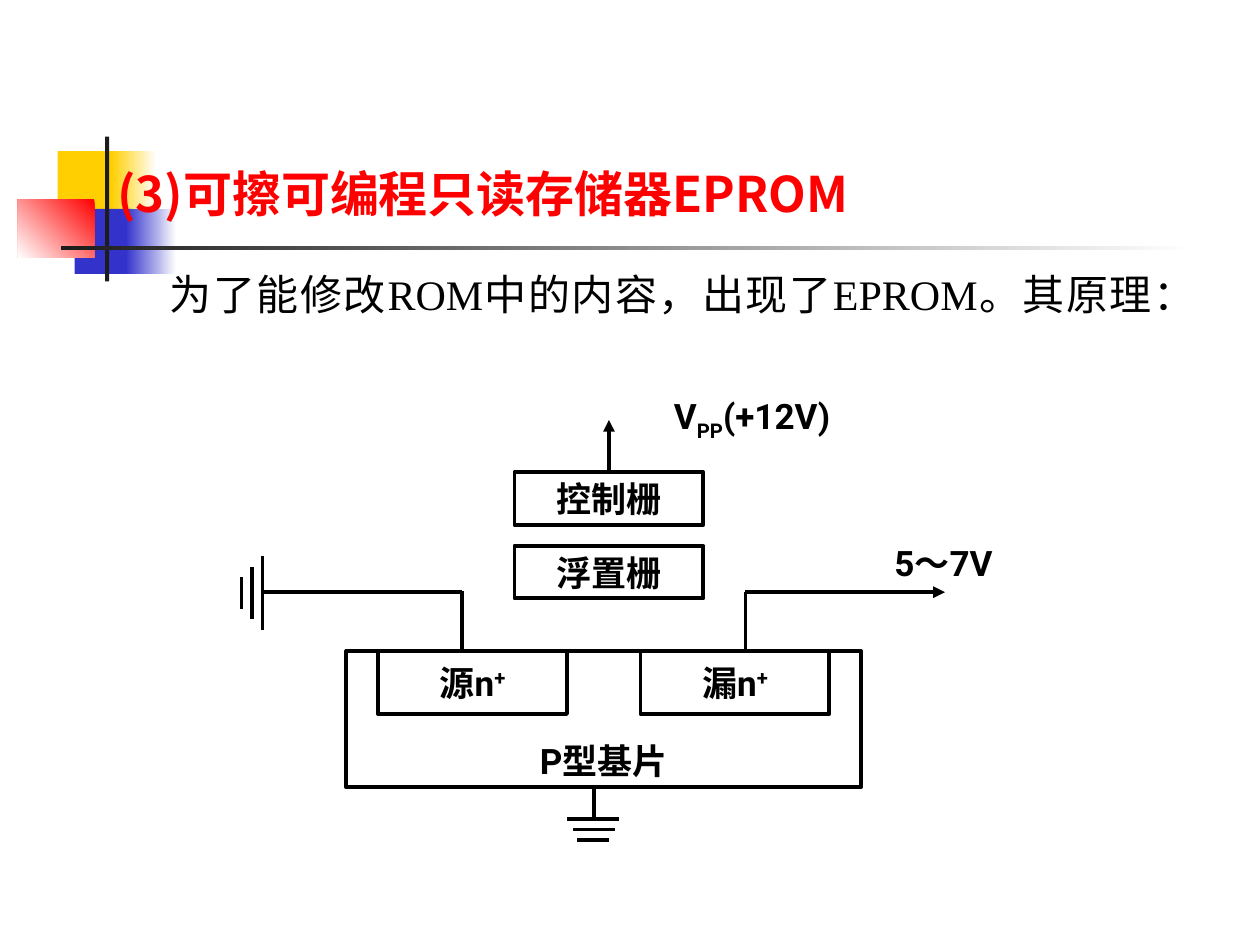
from lxml.etree import SubElement
from pptx import Presentation
from pptx.dml.color import RGBColor
from pptx.enum.shapes import MSO_CONNECTOR as Link, MSO_SHAPE as Shape
from pptx.enum.text import MSO_ANCHOR as Anchor, PP_ALIGN as Align
from pptx.oxml.ns import qn
from pptx.util import Inches, Pt

COLORS = {"yellow": "FFCF01", "blue": "3333CC", "red": "FF0000",
          "dark": "1C1C1C", "white": "FFFFFF", "black": "000000"}
COLORS = {name: RGBColor.from_string(code) for name, code in COLORS.items()}
CJK_FONT = "Noto Sans CJK SC"

deck = Presentation()
deck.slide_width, deck.slide_height = Inches(10), Inches(7.5)
page = deck.slides.add_slide(deck.slide_layouts[6])
CELL = deck.slide_width / 120  # the page is 120 columns by 90 rows


def grid(*cells):
    return [round(cell * CELL) for cell in cells]


def write(shape, spans, size=20, font="Roboto", color="black", bold=True,
          align=Align.LEFT, wrap=True):
    """Fill a shape with one paragraph of (text, baseline percent) spans."""
    frame = shape.text_frame
    frame.word_wrap = wrap
    para = frame.paragraphs[0]
    para.alignment = align
    for text, baseline in spans:
        span = para.add_run()
        span.text = text
        if baseline:
            span.font._element.set("baseline", str(baseline * 1000))
    para.font.size, para.font.bold = Pt(size), bold
    para.font.color.rgb = COLORS[color]
    para.font.name = font
    SubElement(para.font._element, qn("a:ea"), typeface=CJK_FONT)
    return para


# Corner ornament: place, first colour, last colour, counterclockwise angle
ornament = [
    ((5.5, 14.4, 5.8, 6.2), "yellow", None, 0),
    ((10.6, 14.4, 4.3, 6.2), "white", "yellow", 180),
    ((7.1, 19.9, 5.5, 6.2), "blue", None, 0),
    ((12, 19.9, 4.8, 6.2), "white", "blue", 180),
    ((1.7, 19, 7.3, 5.5), "red", "white", 225),
    ((10, 13, 0.4, 13.8), "dark", None, 0),
    ((5.8, 23.4, 108, 0.4), "white", "dark", 180),
]
for place, first, last, angle in ornament:
    block = page.shapes.add_shape(Shape.RECTANGLE, *grid(*place))
    block.shadow.inherit = False
    block.line.fill.background()
    if last:
        block.fill.gradient()
        block.fill.gradient_angle = angle
        for stop, name, position in zip(block.fill.gradient_stops, (first, last), (0, 1)):
            stop.color.rgb, stop.position = COLORS[name], position
    else:
        block.fill.solid()
        block.fill.fore_color.rgb = COLORS[first]

# Heading and introduction
title = page.shapes.add_textbox(*grid(10, 15, 85, 6.8))
write(title, [("(3)可擦可编程只读存储器EPROM", 0)], size=28, font=CJK_FONT, color="red")
body = page.shapes.add_textbox(*grid(9, 25, 102, 54))
intro = write(body, [("为了能修改ROM中的内容，出现了EPROM。其原理：", 0)], size=24,
              font="Times New Roman", bold=False, align=Align.JUSTIFY)
intro._p.get_or_add_pPr().set("indent", str(Inches(0.5)))

# Parts of the transistor
parts = [
    ((49, 45, 18, 5), [("控制栅", 0)], Anchor.MIDDLE),
    ((49, 52, 18, 5), [("浮置栅", 0)], Anchor.MIDDLE),
    ((33, 62, 49, 13), [("P型基片", 0)], Anchor.BOTTOM),
    ((36, 62, 18, 6), [("源n", 0), ("+", 30)], Anchor.MIDDLE),
    ((61, 62, 18, 6), [("漏n", 0), ("+", 30)], Anchor.MIDDLE),
]
for place, spans, anchor in parts:
    part = page.shapes.add_shape(Shape.RECTANGLE, *grid(*place))
    part.shadow.inherit = False
    part.fill.background()
    part.line.color.rgb, part.line.width = COLORS["black"], Pt(2.25)
    part.text_frame.vertical_anchor = anchor
    write(part, spans, align=Align.CENTER, wrap=False)

# Voltage labels
labels = [
    ((63, 37, 23, 5.8), [("V", 0), ("PP", -25), ("(+12V)", 0)]),
    ((84, 51, 23, 5.3), [("5～7V", 0)]),
]
for place, spans in labels:
    write(page.shapes.add_textbox(*grid(*place)), spans)

# Wires: start column and row, end column and row, arrowhead at the end
wires = [
    (58, 45, 58, 40, True),            # control gate to supply
    (25, 56.4, 44, 56.4, False),       # source to ground
    (44, 56.3, 44, 62, False),
    (71, 56.4, 90, 56.4, True),        # drain to output
    (71, 56.4, 71, 62, False),
    (56.6, 75, 56.6, 78, False),       # substrate to ground
]
side_ground = [(23, 55, 23, 58), (24, 54, 24, 59), (25, 53, 25, 60)]
base_ground = [(54, 78, 59, 78), (54.6, 79, 58.6, 79), (55, 80, 58, 80)]
wires += [(*bar, False) for bar in side_ground + base_ground]
for *ends, arrow in wires:
    wire = page.shapes.add_connector(Link.STRAIGHT, *grid(*ends))
    wire.line.color.rgb, wire.line.width = COLORS["black"], Pt(2.25)
    if arrow:
        SubElement(wire.line._get_or_add_ln(), qn("a:tailEnd"), type="triangle")
    SubElement(wire._element.spPr, qn("a:effectLst"))

deck.save("out.pptx")
